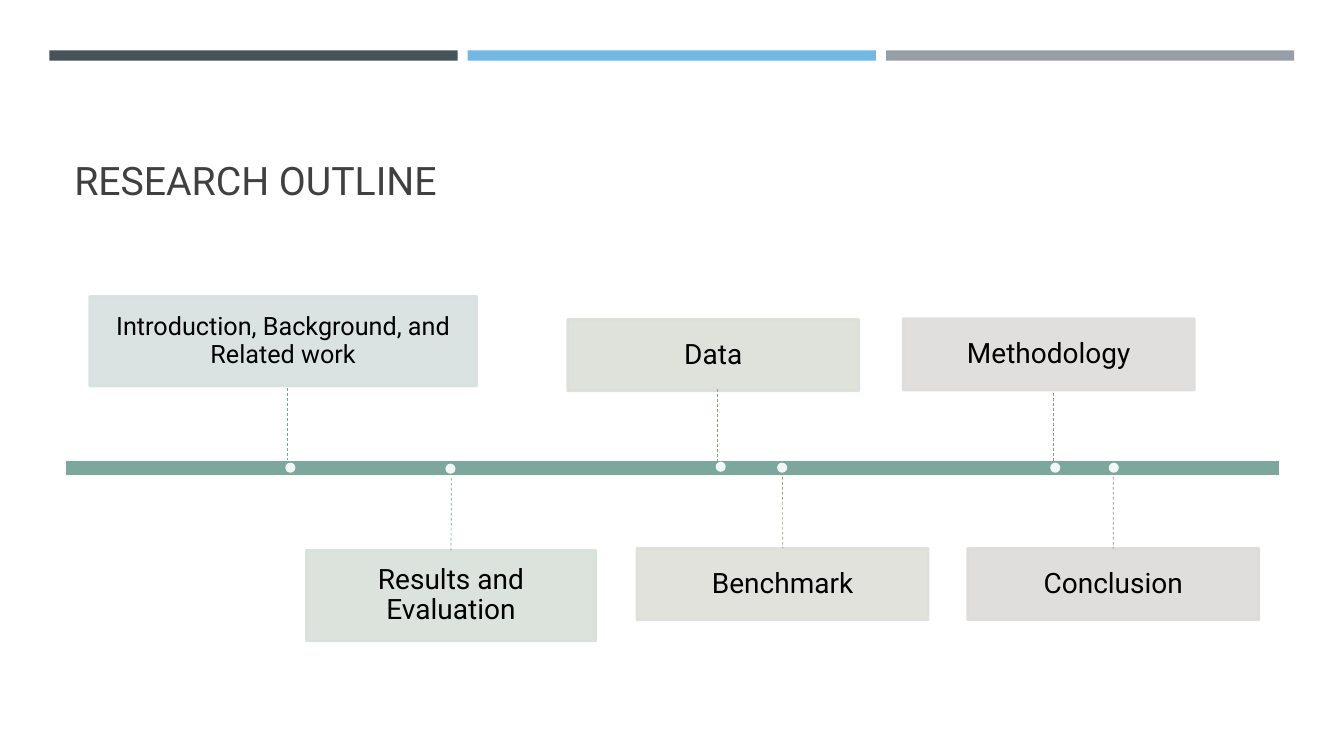
from pptx import Presentation
from pptx.util import Pt
from pptx.dml.color import RGBColor
from pptx.enum.dml import MSO_LINE as Dash
from pptx.enum.shapes import MSO_CONNECTOR as Link, MSO_SHAPE as Form
from pptx.enum.text import MSO_ANCHOR as Anchor, PP_ALIGN as Align
from pptx.oxml.ns import qn
from lxml.etree import SubElement as Sub

FONT = "Roboto"
DOT = 7.2

# Bars across the top
BARS = ["465359", "71B9E4", "969FA7"]

# Text, size, inset, box (left, top, width, height), box colour,
# line (x, start, end), line colour, dot (left, top)
UPPER = [
    ("Introduction, Background, and Related work", 18, 13.7,
     (64, 211.7, 276.5, 64.1), "D7E1DF", (205.2, 277.2, 328.3), "7BA79D",
     (203.8, 330.5)),
    ("Data", 20, 15.1, (405.4, 228.2, 208.1, 51.1), "DBDFD8",
     (512.6, 277.9, 329), "8CA082", (511.2, 329.8)),
    ("Methodology", 20, 15.1, (645.1, 227.5, 208.1, 51.1), "DEDCDA",
     (752.4, 280.8, 331.2), "999289", (750.2, 330.5)),
]
LOWER = [
    ("Results and Evaluation", 20, 15.1, (218.9, 393.1, 206.6, 64.8),
     "D8E0D9", (322.4, 341.3, 393.1), "7EA487", (318.2, 331.2)),
    ("Benchmark", 20, 15.1, (455, 391.7, 208.1, 51.1), "DEDFD9",
     (559, 340.6, 391.7), "9A9D85", (555.1, 330.5)),
    ("Conclusion", 20, 15.1, (691.2, 391.7, 208.1, 51.1), "DDDADA",
     (795.2, 340.6, 391.7), "968C8C", (792, 330.5)),
]


def color(tone):
    return RGBColor.from_string(tone)


def add_form(slide, form, area, fill, edge=None, alpha=None):
    shape = slide.shapes.add_shape(form, *map(Pt, area))
    shape.shadow.inherit = False
    shape.fill.solid()
    shape.fill.fore_color.rgb = color(fill)
    if edge:
        shape.line.color.rgb = color(edge)
        shape.line.width = Pt(1.75)
    else:
        shape.line.fill.background()
    if alpha:
        for node in shape._element.spPr.iter(qn("a:srgbClr")):
            Sub(node, qn("a:alpha")).set("val", str(alpha * 1000))
    return shape


def set_text(shape, text, size, tone, align, anchor):
    frame = shape.text_frame
    frame.word_wrap = True
    frame.vertical_anchor = anchor
    frame.text = text
    para = frame.paragraphs[0]
    para.alignment = align
    para.line_spacing = 0.9
    font = para.runs[0].font
    font.name = FONT
    font.size = Pt(size)
    font.color.rgb = color(tone)


def add_box(slide, text, size, inset, area, fill):
    box = add_form(slide, Form.RECTANGLE, area, fill, fill, 90)
    set_text(box, text, size, "000000", Align.CENTER, Anchor.MIDDLE)
    frame = box.text_frame
    frame.margin_left = frame.margin_right = Pt(inset)
    frame.margin_top = frame.margin_bottom = Pt(inset)
    return box


def add_line(slide, x, start, end, tone):
    line = slide.shapes.add_connector(
        Link.STRAIGHT, Pt(x), Pt(start), Pt(x), Pt(end))
    line.line.color.rgb = color(tone)
    line.line.width = Pt(0.5)
    line.line.dash_style = Dash.DASH
    Sub(line._element.spPr, qn("a:effectLst"))
    return line


def add_step(slide, step, join):
    text, size, inset, area, fill, span, tone, spot = step
    box = add_box(slide, text, size, inset, area, fill)
    line = add_line(slide, *span, tone)
    if join:
        line.end_connect(box, 0)
    add_form(slide, Form.OVAL, (*spot, DOT, DOT), "FFFFFF", alpha=90)


def main():
    deck = Presentation()
    deck.slide_width, deck.slide_height = Pt(960), Pt(540)
    slide = deck.slides.add_slide(deck.slide_layouts[6])

    # Top bars
    for i, tone in enumerate(BARS):
        add_form(slide, Form.RECTANGLE,
                 (35.3 + i * 298.8, 36, 291.6, 7.4), tone)

    # Title
    title = slide.shapes.add_textbox(Pt(46), Pt(55.4), Pt(868.3), Pt(93.6))
    set_text(title, "RESEARCH OUTLINE", 28, "404040", Align.LEFT,
             Anchor.BOTTOM)

    # Time line with its steps
    add_form(slide, Form.RECTANGLE, (46, 328.3, 868.3, 12.2),
             "7BA79D", "FFFFFF")
    for step in UPPER:
        add_step(slide, step, False)
    for step in LOWER:
        add_step(slide, step, True)

    deck.save("out.pptx")


if __name__ == "__main__":
    main()
